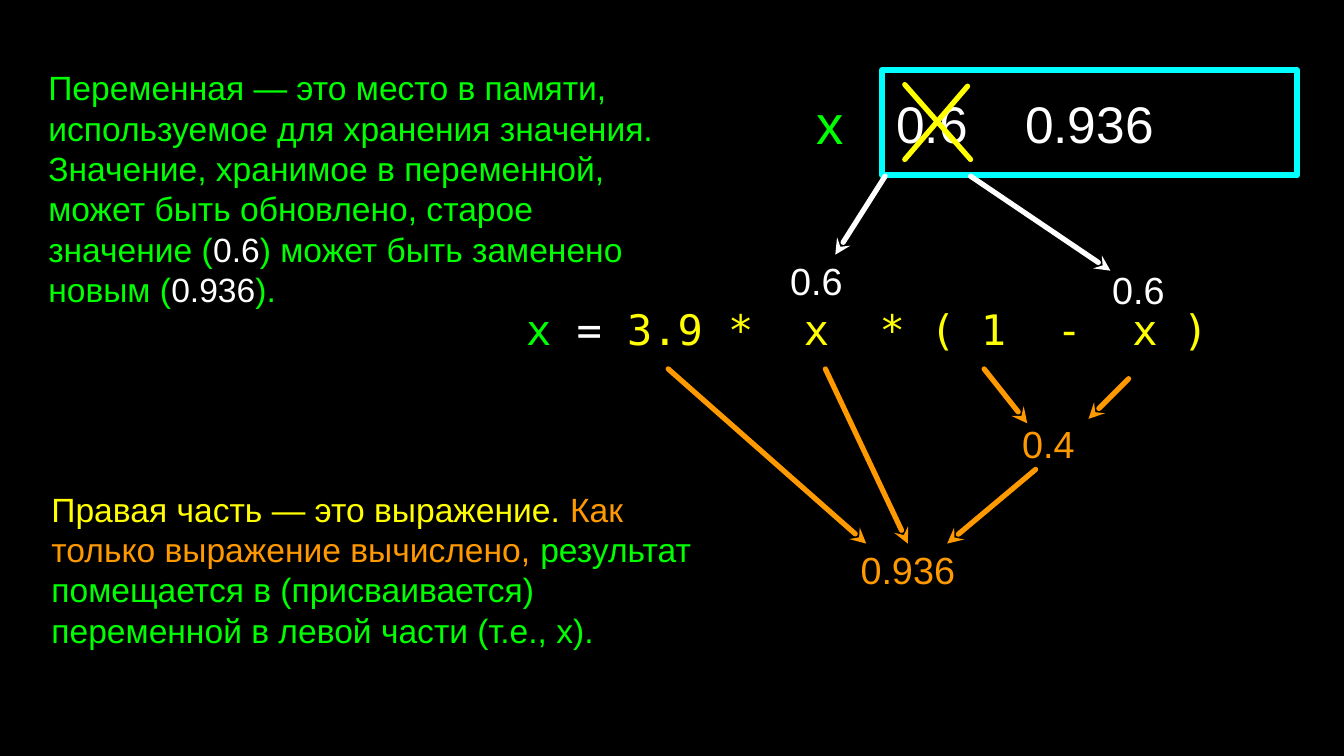
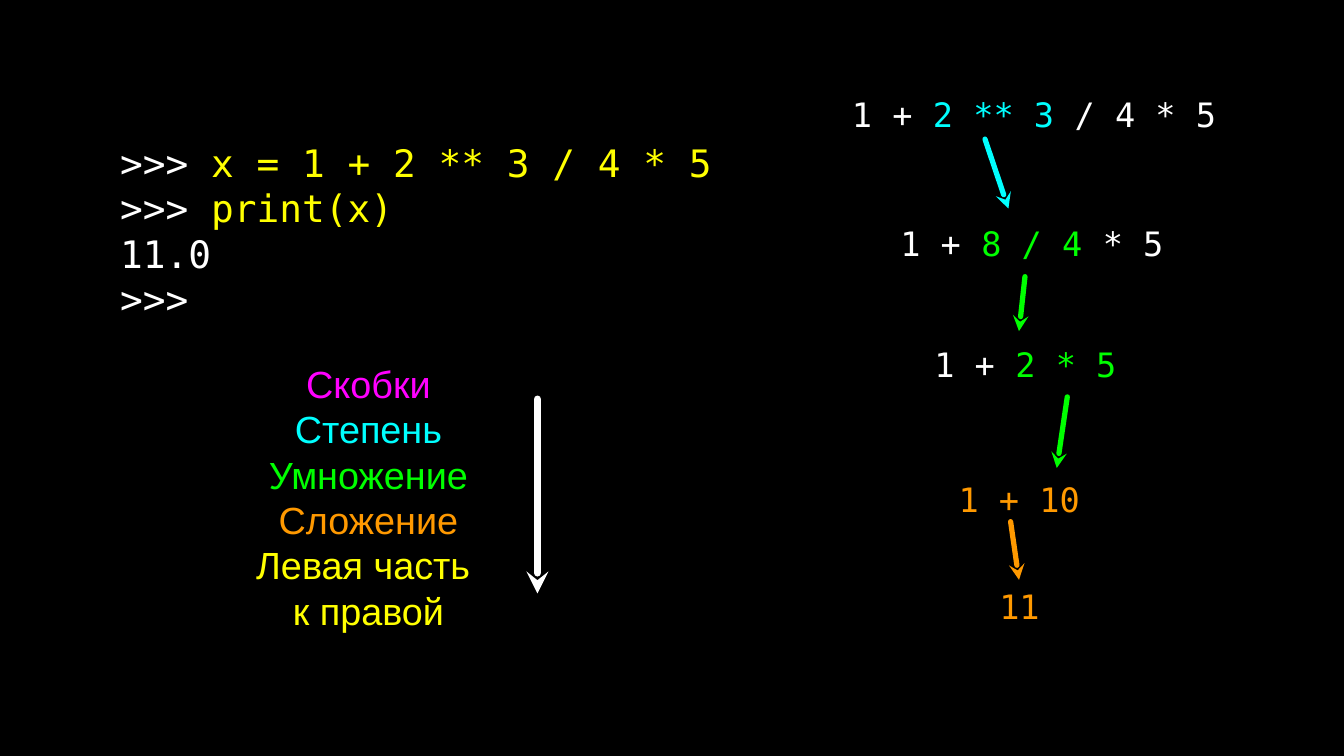
"""Two slides on assignment and operator precedence in Python."""
from dataclasses import dataclass

from lxml.etree import SubElement
from pptx import Presentation
from pptx.dml.color import RGBColor
from pptx.enum.shapes import MSO_CONNECTOR as Connector, MSO_SHAPE as Preset
from pptx.enum.text import MSO_ANCHOR as Anchor, PP_ALIGN as Align
from pptx.oxml.ns import qn
from pptx.util import Pt


@dataclass(frozen=True)
class Theme:
    black: str = "000000"
    white: str = "FFFFFF"
    green: str = "00FF00"
    yellow: str = "FFFF00"
    orange: str = "FF9900"
    cyan: str = "00FFFF"
    magenta: str = "FF00FF"
    sans: str = "Arial"
    mono: str = "DejaVu Sans Mono"
    body: float = 32
    label: float = 36
    formula: float = 40
    stored: float = 49
    name: float = 52
    leading: float = 1.2
    stroke: float = 5
    frame: float = 6
    long_arrow: float = 7


T = Theme()
WIDTH, HEIGHT = 1280.16, 720
TOP, BOTTOM = 0, 2

MEMORY_CELL = (840.2, 67, 395.3, 100)
CELL_INDENT, CELL_TAB = 13.6, 122.6

ASSIGNMENT_TEXTS = [
    ((501.1, 267.8, 696.2, 90.7), T.mono, T.formula, Align.LEFT,
     [[("x ", T.green), ("= ", T.white), ("3.9 *  x  * ( 1  -  x )", T.yellow)]]),
    ((772.6, 82.8, 35.3, 67.7), T.sans, T.name, Align.CENTER, [[("x", T.green)]]),
    ((49, 460.8, 635.8, 162.7), T.sans, T.body, Align.LEFT,
     [[("Правая часть — это выражение. ", T.yellow),
       ("Как только выражение вычислено, ", T.orange),
       ("результат помещается в (присваивается) переменной в левой части (т.е., x).", T.green)]]),
    ((46, 67, 591.1, 224.6), T.sans, T.body, Align.LEFT,
     [[("Переменная — это место в памяти, используемое для хранения значения. "
        "Значение, хранимое в переменной, может быть обновлено, старое значение (", T.green),
       ("0.6", T.white), (") может быть заменено новым (", T.green),
       ("0.936", T.white), (").", T.green)]]),
]
VALUE_LABELS = [
    ("0.6", 742.3, 242.6, 70.6, T.white),
    ("0.6", 1042.6, 251.3, 83.5, T.white),
    ("0.4", 956.9, 398.2, 83.5, T.orange),
    ("0.936", 796.3, 517.7, 136.8, T.orange),
]
LABEL_HEIGHT = 49

ASSIGNMENT_ARROWS = [
    ((843.1, 167.8), (795.6, 242.6), T.white),
    ((924.5, 167.8), (1057.7, 257.8), T.white),
    ((636.5, 351.4), (825.1, 517.7), T.orange),
    ((937.4, 351.4), (978.5, 403.2), T.orange),
    ((1075, 360.7), (1036.8, 398.9), T.orange),
    ((986.4, 447.1), (902.2, 517.7), T.orange),
]
X_TO_RESULT = ((786.2, 351.4), (864.7, 517.7), T.orange)
CROSS_OUT = [
    ((921.6, 82.1), (861.8, 151.9), T.yellow),
    ((861.8, 80.6), (924.5, 151.9), T.yellow),
]

CONSOLE = ((114.5, 103, 578.9, 232.6), T.mono, T.label, Align.LEFT, [
    [(">>> ", T.white), ("x = 1 + 2 ** 3 / 4 * 5", T.yellow)],
    [(">>> ", T.white), ("print(x)", T.yellow)],
    [("11.0", T.white)],
    [(">>>", T.white)],
])
PRECEDENCE = ((220.3, 337, 261.4, 272.2), T.sans, T.label, Align.CENTER, [
    [("Скобки", T.magenta)],
    [("Степень", T.cyan)],
    [("Умножение", T.green)],
    [("Сложение", T.orange)],
    [("Левая часть ", T.yellow)],
    [("к правой", T.yellow)],
])
PRECEDENCE_ARROW = ((511.9, 380.2), (511.9, 565.2), T.white)

STEP_HEIGHT = 62.6
STEPS = [
    (811.4, 77.8, 364.3, [("1 + ", T.white), ("2 ** 3", T.cyan), (" / 4 * 5", T.white)]),
    (857.5, 200.2, 318.2, [("1 + ", T.white), ("8 / 4", T.green), (" * 5", T.white)]),
    (889.9, 315.4, 253.4, [("1 + ", T.white), ("2 * 5", T.green)]),
    (913, 444.2, 177.8, [("1 + 10", T.orange)]),
    (951.8, 545.8, 56.9, [("11", T.orange)]),
]
STEP_ARROWS = [
    ((938.2, 132.5), (960.5, 198.7), T.cyan),
    ((976.3, 263.5), (970.6, 315.4), T.green),
    ((1016.6, 378), (1006.6, 445.7), T.green),
    ((962.6, 496.8), (970.6, 552.2), T.orange),
]
MULTIPLY_STEP = 2


def color(code):
    return RGBColor.from_string(code)


def new_page(deck):
    page = deck.slides.add_slide(deck.slide_layouts[6])
    page.background.fill.solid()
    page.background.fill.fore_color.rgb = color(T.black)
    return page.shapes


def write(box, font, size, align, lines, tab=None):
    frame = box.text_frame
    frame.word_wrap = True
    frame.vertical_anchor = Anchor.MIDDLE
    frame.margin_left = frame.margin_right = frame.margin_top = frame.margin_bottom = 0
    for index, line in enumerate(lines):
        para = frame.add_paragraph() if index else frame.paragraphs[0]
        para.alignment = align
        para.line_spacing = Pt(size * T.leading)
        if tab:
            tabs = SubElement(para._p.get_or_add_pPr(), qn("a:tabLst"))
            SubElement(tabs, qn("a:tab"), pos=str(Pt(tab)), algn="l")
        for text, code in line:
            span = para.add_run()
            span.text = text
            span.font.name, span.font.size = font, Pt(size)
            span.font.color.rgb = color(code)


def add_text(shapes, place, font, size, align, lines):
    box = shapes.add_textbox(*map(Pt, place))
    write(box, font, size, align, lines)
    return box


def style_line(shape, code, width):
    shape.line.color.rgb = color(code)
    shape.line.width = Pt(width)
    stroke = shape.line._get_or_add_ln()
    stroke.set("cap", "rnd")
    SubElement(stroke, qn("a:round"))
    return stroke


def add_line(shapes, start, end, code, width=T.stroke, arrow=True):
    line = shapes.add_connector(Connector.STRAIGHT, *map(Pt, start + end))
    stroke = style_line(line, code, width)
    if arrow:
        SubElement(stroke, qn("a:tailEnd"), type="stealth")
    SubElement(line._element.spPr, qn("a:effectLst"))
    return line


def build_assignment(shapes):
    for item in ASSIGNMENT_TEXTS:
        add_text(shapes, *item)

    cell = shapes.add_shape(Preset.RECTANGLE, *map(Pt, MEMORY_CELL))
    cell.shadow.inherit = False
    cell.fill.background()
    style_line(cell, T.cyan, T.frame)
    write(cell, T.sans, T.stored, Align.LEFT, [[("0.6\t0.936", T.white)]], CELL_TAB)
    cell.text_frame.margin_left = Pt(CELL_INDENT)

    for value, left, top, width, code in VALUE_LABELS:
        result = add_text(shapes, (left, top, width, LABEL_HEIGHT), T.sans, T.label,
                          Align.CENTER, [[(value, code)]])
    for arrow in ASSIGNMENT_ARROWS:
        add_line(shapes, *arrow)
    add_line(shapes, *X_TO_RESULT).end_connect(result, TOP)
    for stroke in CROSS_OUT:
        add_line(shapes, *stroke, arrow=False)


def build_precedence(shapes):
    steps = [add_text(shapes, (left, top, width, STEP_HEIGHT), T.mono, T.body, Align.LEFT, [line])
             for left, top, width, line in STEPS]
    arrows = [add_line(shapes, *arrow) for arrow in STEP_ARROWS]
    arrows[MULTIPLY_STEP].begin_connect(steps[MULTIPLY_STEP], BOTTOM)
    add_text(shapes, *CONSOLE)
    ranking = shapes.add_group_shape().shapes
    add_text(ranking, *PRECEDENCE)
    add_line(ranking, *PRECEDENCE_ARROW, width=T.long_arrow)


def main():
    deck = Presentation()
    deck.slide_width, deck.slide_height = Pt(WIDTH), Pt(HEIGHT)
    for build in (build_assignment, build_precedence):
        build(new_page(deck))
    deck.save("out.pptx")


if __name__ == "__main__":
    main()
